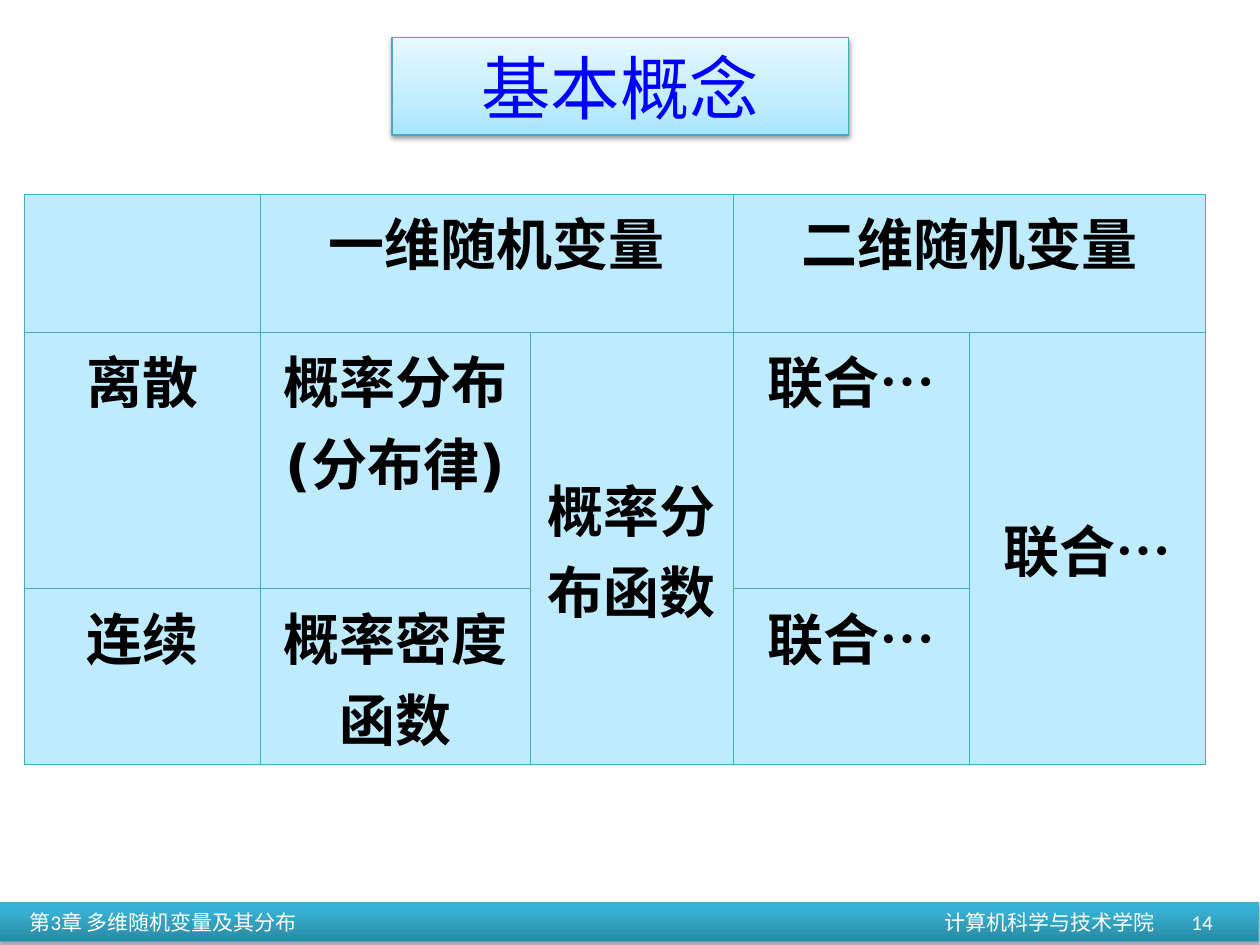
from dataclasses import dataclass
from typing import Any

from lxml.etree import SubElement
from pptx import Presentation
from pptx.dml.color import RGBColor
from pptx.enum.lang import MSO_LANGUAGE_ID
from pptx.enum.shapes import MSO_SHAPE
from pptx.enum.text import MSO_ANCHOR, MSO_AUTO_SIZE, PP_ALIGN
from pptx.oxml.ns import qn
from pptx.util import Pt

COLORS = {
    "border": "46AAC5", "cell": "BFEBFF", "title": "0000FF",
    "text": "000000", "footer": "FFFFFF", "shadow": "000000",
}
TITLE_GRADIENT = ((0, "A7E6FF"), (35, "C1EDFF"), (100, "E7F8FF"))
BAR_GRADIENT = ((0, "2A88A2"), (80, "37B1D2"), (100, "34B4D6"))

TITLE_FONT = {"name": "Calibri", "size": Pt(39.6), "bold": False}
CELL_FONT = {"name": "DejaVu Sans", "size": Pt(32), "bold": True}
FOOTER_FONT = {"name": "Calibri", "size": Pt(12), "bold": False}

COLUMN_WIDTHS = (135, 154, 116, 135, 135)
ROW_HEIGHTS = (78.8, 146.4, 100.4)  # one, three and two lines of text


@dataclass
class Entry:
    row: int
    column: int
    text: str
    rows: int = 1
    columns: int = 1


ENTRIES = (
    Entry(0, 0, ""),
    Entry(0, 1, "一维随机变量", columns=2),
    Entry(0, 3, "二维随机变量", columns=2),
    Entry(1, 0, "离散"),
    Entry(1, 1, "概率分布(分布律)"),
    Entry(1, 2, "概率分布函数", rows=2),
    Entry(1, 3, "联合…"),
    Entry(1, 4, "联合…", rows=2),
    Entry(2, 0, "连续"),
    Entry(2, 1, "概率密度函数"),
    Entry(2, 3, "联合…"),
)


def place(shape: Any, left: float, top: float, width: float, height: float) -> None:
    shape.left, shape.top = Pt(left), Pt(top)
    shape.width, shape.height = Pt(width), Pt(height)


def write(frame: Any, text: str, font: dict, color: str, align: Any) -> Any:
    para = frame.paragraphs[0]
    para.alignment = align
    span = para.add_run()
    span.text = text
    for name, value in font.items():
        setattr(span.font, name, value)
    span.font.language_id = MSO_LANGUAGE_ID.SIMPLIFIED_CHINESE
    span.font.color.rgb = RGBColor.from_string(COLORS[color])
    return para


def add_color(parent: Any, color: str) -> Any:
    return SubElement(parent, qn("a:srgbClr"), val=color)


def style_panel(shape: Any, stops: tuple, opacity: int, distance: float) -> None:
    """Vertical gradient, thin outline and a soft shadow below."""
    properties = shape.element.spPr
    shape.fill.background()
    old_fill = properties.find(qn("a:noFill"))
    gradient = SubElement(properties, qn("a:gradFill"), rotWithShape="1")
    properties.replace(old_fill, gradient)
    stop_list = SubElement(gradient, qn("a:gsLst"))
    for position, color in stops:
        add_color(SubElement(stop_list, qn("a:gs"), pos=str(position * 1000)), color)
    SubElement(gradient, qn("a:lin"), ang="16200000", scaled="0")
    shape.line.color.rgb = RGBColor.from_string(COLORS["border"])
    shape.line.width = Pt(0.75)
    effects = SubElement(properties, qn("a:effectLst"))
    shadow = SubElement(effects, qn("a:outerShdw"), blurRad=str(Pt(3.1)),
                        dist=str(Pt(distance)), dir="5400000", rotWithShape="0")
    shadow_color = add_color(shadow, COLORS["shadow"])
    SubElement(shadow_color, qn("a:alpha"), val=str(opacity * 1000))


def style_cell(cell: Any) -> None:
    properties = cell._tc.get_or_add_tcPr()
    for side in ("lnL", "lnR", "lnT", "lnB"):
        line = SubElement(properties, qn(f"a:{side}"), w=str(Pt(0.75)))
        add_color(SubElement(line, qn("a:solidFill")), COLORS["border"])
    cell.fill.solid()
    cell.fill.fore_color.rgb = RGBColor.from_string(COLORS["cell"])


def add_footer(page: Any) -> None:
    bar = page.shapes.add_shape(MSO_SHAPE.RECTANGLE, 0, 0, 0, 0)
    place(bar, -0.7, 515.8, 720, 22.3)
    style_panel(bar, BAR_GRADIENT, 35, 1.8)
    frame = bar.text_frame
    frame.word_wrap = True
    frame.vertical_anchor = MSO_ANCHOR.MIDDLE
    frame.margin_left = Pt(17.7)
    para = write(frame, "第3章 多维随机变量及其分布\t计算机科学与技术学院",
                 FOOTER_FONT, "footer", PP_ALIGN.LEFT)
    tabs = SubElement(para._p.get_or_add_pPr(), qn("a:tabLst"))
    SubElement(tabs, qn("a:tab"), pos=str(Pt(642.8)), algn="r")

    number = page.shapes.add_textbox(0, 0, 0, 0)
    place(number, 532, 513.8, 168, 26.6)
    number.text_frame.word_wrap = True
    number.text_frame.vertical_anchor = MSO_ANCHOR.MIDDLE
    write(number.text_frame, "14", FOOTER_FONT, "footer", PP_ALIGN.RIGHT)


def add_title(page: Any) -> None:
    title = page.shapes.title
    place(title, 224, 21.6, 260.8, 55.6)
    style_panel(title, TITLE_GRADIENT, 38, 1.6)
    title.text_frame.auto_size = MSO_AUTO_SIZE.NONE
    title.text_frame.vertical_anchor = MSO_ANCHOR.MIDDLE
    write(title.text_frame, "基本概念", TITLE_FONT, "title", PP_ALIGN.CENTER)


def add_concept_table(page: Any) -> None:
    table = page.shapes.add_table(
        len(ROW_HEIGHTS), len(COLUMN_WIDTHS), Pt(14), Pt(111.2),
        Pt(sum(COLUMN_WIDTHS)), Pt(sum(ROW_HEIGHTS))).table
    table.first_row = table.horz_banding = False
    for column, width in zip(table.columns, COLUMN_WIDTHS):
        column.width = Pt(width)
    for row, height in zip(table.rows, ROW_HEIGHTS):
        row.height = Pt(height)
    for cell in table.iter_cells():
        style_cell(cell)
    for entry in ENTRIES:
        cell = table.cell(entry.row, entry.column)
        if entry.rows > 1 or entry.columns > 1:
            cell.merge(table.cell(entry.row + entry.rows - 1,
                                  entry.column + entry.columns - 1))
        cell.vertical_anchor = MSO_ANCHOR.MIDDLE if entry.rows > 1 else MSO_ANCHOR.TOP
        if entry.text:
            write(cell.text_frame, entry.text, CELL_FONT, "text", PP_ALIGN.CENTER)


def main() -> None:
    deck = Presentation()
    deck.slide_width, deck.slide_height = Pt(720), Pt(540)
    page = deck.slides.add_slide(deck.slide_layouts[5])  # title only
    add_footer(page)
    add_title(page)
    add_concept_table(page)
    deck.save("out.pptx")


if __name__ == "__main__":
    main()
